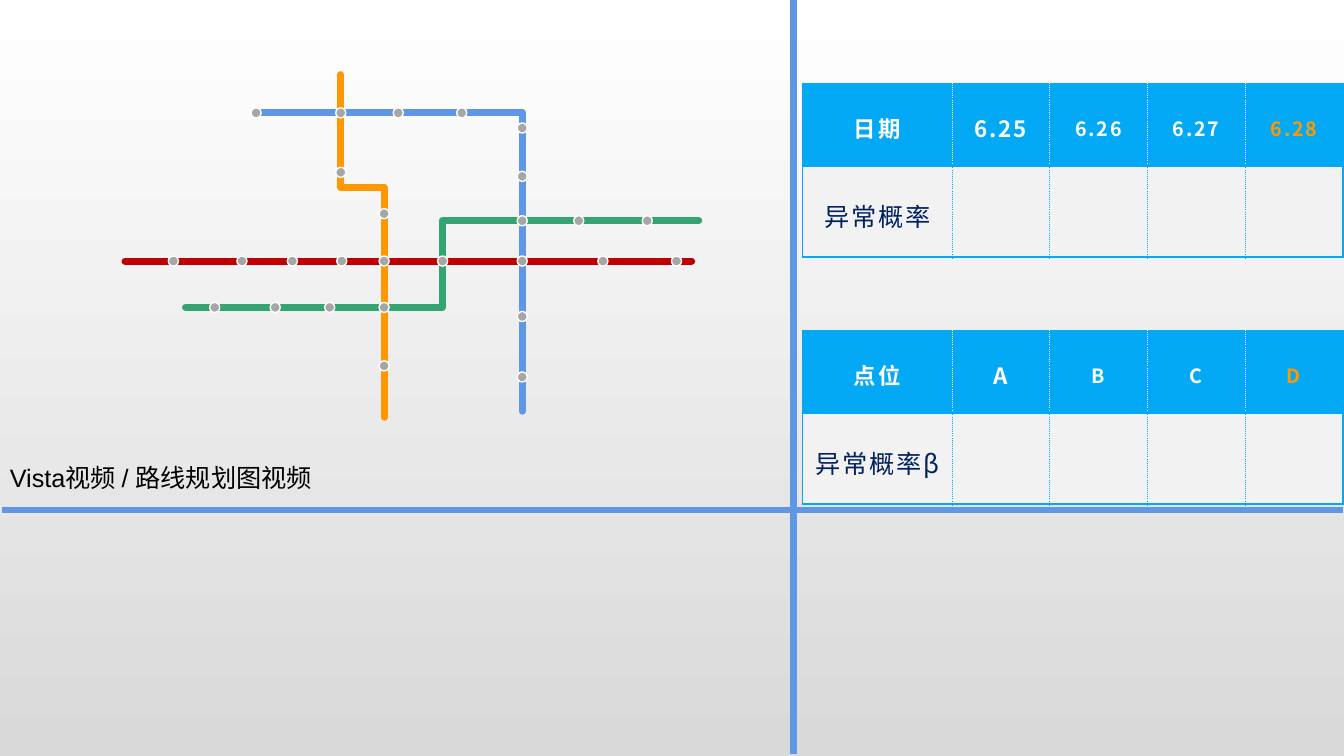
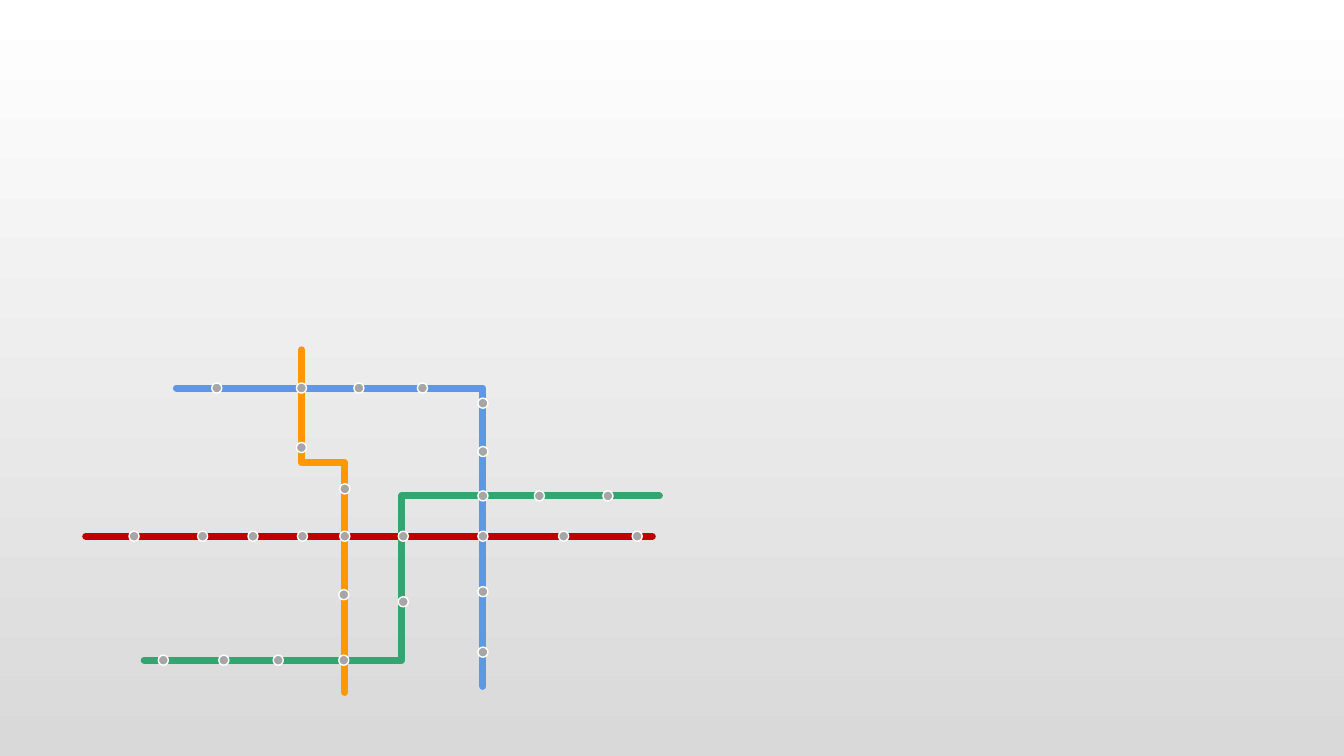
from lxml.etree import SubElement
from pptx import Presentation
from pptx.dml.color import RGBColor
from pptx.enum.shapes import MSO_CONNECTOR, MSO_SHAPE
from pptx.enum.text import MSO_ANCHOR, MSO_AUTO_SIZE, PP_ALIGN
from pptx.oxml.ns import qn
from pptx.util import Inches, Pt

WHITE = RGBColor(0xFF, 0xFF, 0xFF)
BLACK = RGBColor(0x00, 0x00, 0x00)
PALE_GREY = RGBColor(0xF2, 0xF2, 0xF2)
SILVER = RGBColor(0xD9, 0xD9, 0xD9)
GREY = RGBColor(0xA6, 0xA6, 0xA6)
BLUE = RGBColor(0x60, 0x96, 0xE6)
RED = RGBColor(0xC0, 0x00, 0x00)
ORANGE = RGBColor(0xFF, 0x98, 0x00)
GREEN = RGBColor(0x34, 0xA4, 0x71)
SKY = RGBColor(0x03, 0xA9, 0xF5)
NAVY = RGBColor(0x00, 0x20, 0x60)

LATIN_FONT = "Arial"
CHINESE_FONT = "Noto Sans CJK SC"
STATION_SIZE = 0.1

# Station centres that both metro maps share
RED_STATIONS = [(x, 2.59) for x in (1.72, 2.4, 2.9, 3.39, 3.81, 4.39, 5.18, 5.98, 6.71)]
GREEN_STATIONS = [(x, 2.19) for x in (5.18, 5.74, 6.42)]
BLUE_STATIONS = [(x, 1.12) for x in (2.54, 3.38, 3.95, 4.58)]
BLUE_STATIONS += [(5.18, y) for y in (1.27, 1.75, 3.14, 3.74)]
ORANGE_STATIONS = [(3.38, 1.71), (3.81, 2.12)]
SHARED_STATIONS = RED_STATIONS + GREEN_STATIONS + BLUE_STATIONS + ORANGE_STATIONS


class MetroDeck:
    """Holds the shared style and the slide being built."""

    def __init__(self):
        self.deck = Presentation()
        self.deck.slide_width = Inches(13.33)
        self.deck.slide_height = Inches(7.5)
        self.page = None
        # Background gradient, white at the top
        fill = self.deck.slide_master.background.fill
        fill.gradient()
        fill.gradient_angle = 270
        for stop, color, position in zip(fill.gradient_stops, (WHITE, SILVER), (0, 1)):
            stop.color.rgb = color
            stop.position = position

    def add_page(self):
        self.page = self.deck.slides.add_slide(self.deck.slide_layouts[6])

    def style_span(self, span, size, color, font, bold=False, spacing=None):
        span.font.size = Pt(size)
        span.font.bold = bold
        span.font.color.rgb = color
        span.font.name = font
        properties = span.font._element
        SubElement(properties, qn("a:ea")).set("typeface", CHINESE_FONT)
        if spacing:
            properties.set("spc", str(spacing))

    def line(self, shapes, kind, begin, end, color, width):
        connector = shapes.add_connector(kind, *(Inches(v) for v in (*begin, *end)))
        connector.line.color.rgb = color
        connector.line.width = Pt(width)
        SubElement(connector._element.spPr, qn("a:effectLst"))
        return connector

    def divider(self, begin, end):
        self.line(self.page.shapes, MSO_CONNECTOR.STRAIGHT, begin, end, BLUE, 4.5)

    def route(self, shapes, begin, end, color, bend=None, vertical=False):
        """Draw a metro line; a vertical one leaves its start downwards."""
        kind = MSO_CONNECTOR.STRAIGHT if bend is None else MSO_CONNECTOR.ELBOW
        if vertical:
            # Lay the line on its side about its centre, then turn it
            center_x, center_y = (begin[0] + end[0]) / 2, (begin[1] + end[1]) / 2
            half_x, half_y = (end[0] - begin[0]) / 2, (end[1] - begin[1]) / 2
            begin = (center_x - half_y, center_y + half_x)
            end = (center_x + half_y, center_y - half_x)
        connector = self.line(shapes, kind, begin, end, color, 5)
        properties = connector._element.spPr
        if vertical:
            properties.find(qn("a:xfrm")).set("rot", str(90 * 60000))
        if bend is not None:
            geometry = properties.find(qn("a:prstGeom"))
            guide = SubElement(geometry.find(qn("a:avLst")), qn("a:gd"))
            guide.set("name", "adj1")
            guide.set("fmla", f"val {round(bend * 100000)}")
        outline = properties.find(qn("a:ln"))
        outline.set("cap", "rnd")
        SubElement(outline, qn("a:round"))

    def station(self, shapes, x, y):
        corner = [Inches(v - STATION_SIZE / 2) for v in (x, y)]
        dot = shapes.add_shape(MSO_SHAPE.OVAL, *corner,
                               Inches(STATION_SIZE), Inches(STATION_SIZE))
        dot.shadow.inherit = False
        dot.fill.solid()
        dot.fill.fore_color.rgb = GREY
        dot.line.color.rgb = WHITE
        dot.line.width = Pt(1)

    def metro_map(self, offset, blue_start, green_start, extra_stations):
        def moved(x, y):
            return x + offset[0], y + offset[1]

        shapes = self.page.shapes.add_group_shape().shapes
        self.route(shapes, moved(*blue_start), moved(5.18, 4.08), BLUE, 0, vertical=True)
        self.route(shapes, moved(1.24, 2.59), moved(6.86, 2.59), RED)
        self.route(shapes, moved(3.38, 0.74), moved(3.81, 4.14), ORANGE, 0.33, vertical=True)
        self.route(shapes, moved(*green_start), moved(6.93, 2.19), GREEN, 0.5)
        for x, y in SHARED_STATIONS + extra_stations:
            self.station(shapes, *moved(x, y))

    def caption(self, left, top, width, height, text):
        box = self.page.shapes.add_textbox(*(Inches(v) for v in (left, top, width, height)))
        frame = box.text_frame
        frame.word_wrap = True
        frame.auto_size = MSO_AUTO_SIZE.SHAPE_TO_FIT_TEXT
        frame.text = text
        self.style_span(frame.paragraphs[0].runs[0], 18, BLACK, LATIN_FONT)

    def cell_border(self, cell, side, color, width, dotted):
        border = SubElement(cell._tc.get_or_add_tcPr(), qn(f"a:ln{side}"))
        border.set("w", str(Pt(width)))
        fill = SubElement(border, qn("a:solidFill"))
        SubElement(fill, qn("a:srgbClr")).set("val", str(color))
        SubElement(border, qn("a:prstDash")).set("val", "sysDot" if dotted else "solid")

    def table(self, top, headings, label):
        columns = len(headings)
        frame = self.page.shapes.add_table(2, columns, Inches(7.96), Inches(top),
                                           Inches(5.37), Inches(1.72))
        table = frame.table
        table.first_row = table.horz_banding = False
        for index, column in enumerate(table.columns):
            column.width = Inches(0.97 if index else 1.48)
        for row, height in zip(table.rows, (0.82, 0.9)):
            row.height = Inches(height)

        body = [label] + [""] * (columns - 1)
        for row, texts in enumerate((headings, body)):
            for column, text in enumerate(texts):
                cell = table.cell(row, column)
                # Solid outer edges, dotted inner ones
                inner = SKY if row else WHITE
                for side, outer in (("L", column == 0), ("R", column == columns - 1),
                                    ("T", True), ("B", True)):
                    self.cell_border(cell, side, SKY if outer else inner,
                                     1.5 if outer else 0.25, not outer)
                cell.fill.solid()
                cell.fill.fore_color.rgb = PALE_GREY if row else SKY
                cell.margin_left = cell.margin_right = Inches(0.05)
                cell.margin_top = cell.margin_bottom = Inches(0.05)
                cell.vertical_anchor = MSO_ANCHOR.MIDDLE
                if not text:
                    continue
                cell.text_frame.text = text
                paragraph = cell.text_frame.paragraphs[0]
                paragraph.alignment = PP_ALIGN.CENTER
                paragraph.line_spacing = 1.2
                if row:
                    size, color = 18, NAVY
                else:
                    size = 16 if column < 2 else 14
                    color = ORANGE if column == columns - 1 else WHITE
                self.style_span(paragraph.runs[0], size, color, CHINESE_FONT,
                                bold=row == 0, spacing=130)


def main():
    metro = MetroDeck()

    # Slide 1: metro map beside the two probability tables
    metro.add_page()
    metro.divider((0.02, 5.06), (13.32, 5.06))
    metro.divider((7.87, 0), (7.87, 7.48))
    metro.caption(0, 4.54, 3.47, 0.4, "Vista视频 / 路线规划图视频")
    metro.table(0.83, ["日期", "6.25", "6.26", "6.27", "6.28"], "异常概率")
    metro.table(3.28, ["点位", "A", "B", "C", "D"], "异常概率β")
    metro.metro_map((0, 0), (2.53, 1.12), (1.84, 3.05),
                    [(x, 3.05) for x in (2.13, 2.73, 3.27, 3.81)] + [(3.81, 3.63)])

    # Slide 2: the map alone, with a lower green branch
    metro.add_page()
    metro.metro_map((-0.39, 2.73), (2.14, 1.12), (1.82, 3.82),
                    [(x, 3.82) for x in (2.01, 2.61, 3.15, 3.8)]
                    + [(3.8, 3.17), (4.39, 3.24)])

    metro.deck.save("out.pptx")


if __name__ == "__main__":
    main()
